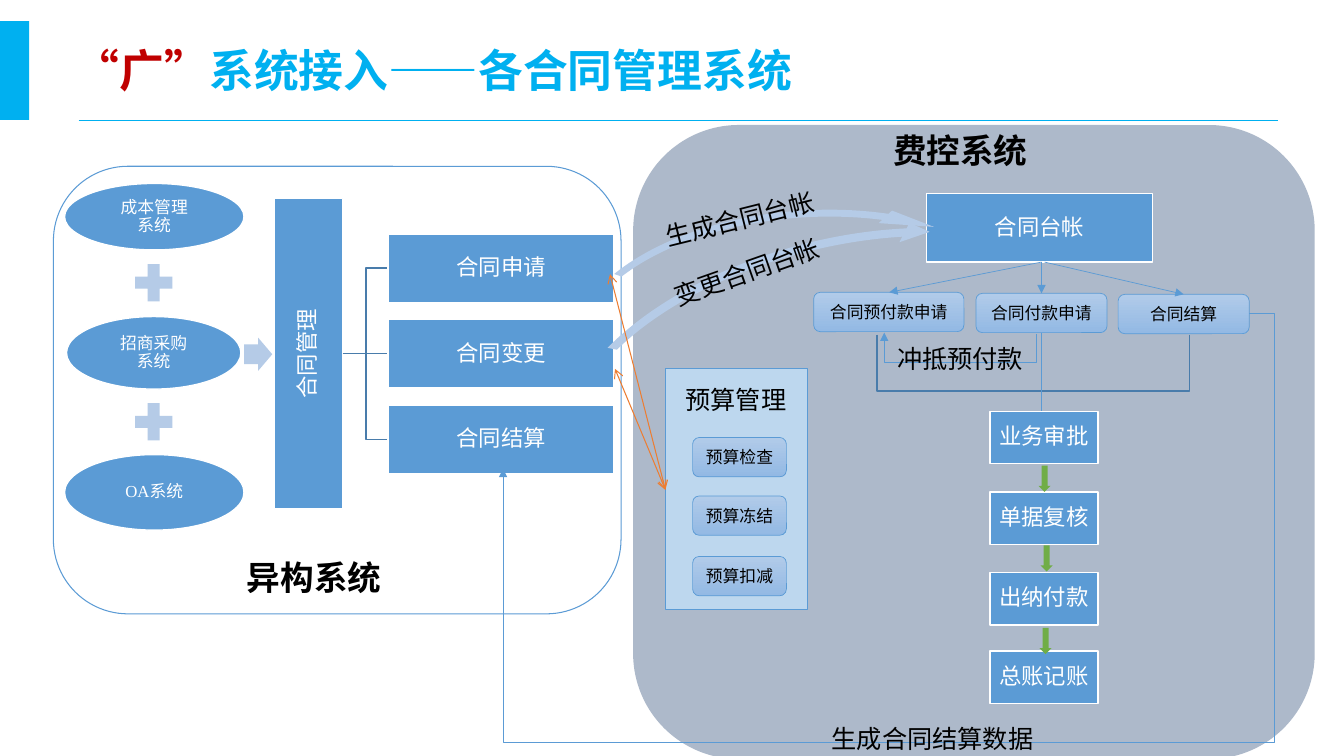
from lxml import etree
from pptx import Presentation
from pptx.dml.color import RGBColor
from pptx.enum.shapes import MSO_CONNECTOR, MSO_SHAPE
from pptx.enum.text import MSO_ANCHOR, PP_ALIGN
from pptx.oxml.ns import qn
from pptx.util import Inches, Pt

RECT, ROUND, OVAL = MSO_SHAPE.RECTANGLE, MSO_SHAPE.ROUNDED_RECTANGLE, MSO_SHAPE.OVAL
CROSS, RIGHT, DOWN = MSO_SHAPE.CROSS, MSO_SHAPE.RIGHT_ARROW, MSO_SHAPE.DOWN_ARROW
CURVED = MSO_SHAPE.CIRCULAR_ARROW
STRAIGHT, ELBOW = MSO_CONNECTOR.STRAIGHT, MSO_CONNECTOR.ELBOW
CENTER, LEFT = PP_ALIGN.CENTER, PP_ALIGN.LEFT
MIDDLE, TOP = MSO_ANCHOR.MIDDLE, MSO_ANCHOR.TOP

SANS, SERIF, ARIAL = "Noto Sans CJK SC", "Times New Roman", "Arial"
WHITE, BLACK, RED = "FFFFFF", "000000", "C00000"
CYAN, BLUE, PALE, BRACKET = "00B0F0", "5B9BD5", "B5CBE7", "497CAB"
ORANGE, GREEN, PANEL, BUDGET = "ED7D31", "70AD47", "ADB9CA", "BDD7EE"


def rgb(value):
    return RGBColor.from_string(value)


def write(frame, text, size=18, font=ARIAL, color=BLACK, bold=False, align=LEFT,
          anchor=TOP, wrap=True, margins=(0.1, 0.05), spacing=None):
    frame.word_wrap = wrap
    frame.vertical_anchor = anchor
    frame.margin_left = frame.margin_right = Inches(margins[0])
    frame.margin_top = frame.margin_bottom = Inches(margins[1])
    paragraph = frame.paragraphs[0]
    paragraph.alignment = align
    paragraph.space_before = Pt(0)
    if spacing:
        paragraph.line_spacing = spacing
    parts = [(text, color)] if isinstance(text, str) else text
    for words, tint in parts:
        run = paragraph.add_run()
        run.text = words
        run.font.size = Pt(size)
        run.font.name = font
        run.font.bold = bold
        run.font.color.rgb = rgb(tint)
        east_asian = etree.SubElement(run.font._element, qn("a:ea"))
        east_asian.set("typeface", SANS)


def stroke(line, color, width):
    line.color.rgb = rgb(color)
    line.width = Pt(width)


def block(slide, kind, box, fill=None, line=None, width=1, adjust=(), rotation=0):
    shape = slide.shapes.add_shape(kind, *map(Inches, box))
    shape.shadow.inherit = False
    shape.rotation = rotation
    for index, value in enumerate(adjust):
        shape.adjustments[index] = value
    if fill:
        shape.fill.solid()
        shape.fill.fore_color.rgb = rgb(fill)
    else:
        shape.fill.background()
    if line:
        stroke(shape.line, line, width)
    else:
        shape.line.fill.background()
    return shape


def step(slide, text, box, kind=RECT, size=16, margins=(0.01, 0.01), rotation=0):
    shape = block(slide, kind, box, BLUE, WHITE, rotation=rotation)
    write(shape.text_frame, text, size=size, font=SERIF, color=WHITE, align=CENTER,
          anchor=MIDDLE, margins=margins, spacing=0.9)


def pill(slide, text, box):
    shape = block(slide, ROUND, box, PALE, BLUE, 0.5)
    shape.fill.gradient()
    shape.fill.gradient_angle = 270
    for stop, color in zip(shape.fill.gradient_stops, ("B1CBE9", "93B9E4")):
        stop.color.rgb = rgb(color)
    write(shape.text_frame, text, size=12, font=SERIF, align=CENTER, anchor=MIDDLE,
          margins=(0.08, 0.05))


def label(slide, text, box, rotation=0, **style):
    caption = slide.shapes.add_textbox(*map(Inches, box))
    caption.rotation = rotation
    write(caption.text_frame, text, **style)


def connect(slide, start, end, color=BLUE, width=0.5, head=None, tail=None, kind=STRAIGHT):
    link = slide.shapes.add_connector(kind, *map(Inches, start + end))
    stroke(link.line, color, width)
    properties = link.element.spPr
    outline = properties.find(qn("a:ln"))
    for tag, arrow in (("a:headEnd", head), ("a:tailEnd", tail)):
        if arrow:
            etree.SubElement(outline, qn(tag)).set("type", arrow)
    etree.SubElement(properties, qn("a:effectLst"))
    return link


def elbow(slide, start, end, preset, bends, rotation=0):
    link = connect(slide, start, end, tail="triangle", kind=ELBOW)
    properties = link.element.spPr
    if rotation:
        properties.find(qn("a:xfrm")).set("rot", str(rotation * 60000))
    geometry = properties.find(qn("a:prstGeom"))
    geometry.set("prst", preset)
    guides = geometry.find(qn("a:avLst"))
    if guides is None:
        guides = etree.SubElement(geometry, qn("a:avLst"))
    for number, bend in enumerate(bends, 1):
        guide = etree.SubElement(guides, qn("a:gd"))
        guide.set("name", f"adj{number}")
        guide.set("fmla", f"val {bend}")


def bracket(slide, *points):
    corners = [tuple(map(Inches, point)) for point in points]
    builder = slide.shapes.build_freeform(*corners[0], scale=1.0)
    builder.add_line_segments(corners[1:], close=False)
    shape = builder.convert_to_shape()
    shape.shadow.inherit = False
    shape.fill.background()
    stroke(shape.line, BRACKET, 1)


def heading(slide):
    block(slide, RECT, (0, 0.21, 0.29, 0.98), CYAN)
    connect(slide, (0.78, 1.19), (12.68, 1.19), CYAN)
    title = slide.shapes.title
    title.left, title.top, title.width, title.height = map(Inches, (0.64, 0.11, 7.45, 0.91))
    write(title.text_frame, [("“广”", RED), ("系统接入——各合同管理系统", CYAN)],
          size=32, font=SANS, bold=True, wrap=False, spacing=1.5)


def expense_system(slide):
    block(slide, ROUND, (6.28, 1.24, 6.76, 6.29), PANEL)
    elbow(slide, (9.53, 2.55), (9.52, 4.06), "bentConnector3", [-2900000], rotation=90)
    label(slide, "费控系统", (7.44, 1.24, 4.17, 0.5), size=24, font=SANS, bold=True, align=CENTER)

    block(slide, RECT, (6.6, 3.66, 1.41, 2.39), BUDGET, BLUE, 0.75)
    label(slide, "预算管理", (6.7, 3.76, 1.21, 0.4), wrap=False)
    for text, top in (("预算检查", 4.34), ("预算冻结", 4.92), ("预算扣减", 5.52)):
        pill(slide, text, (6.87, top, 0.93, 0.39))

    pill(slide, "合同付款申请", (9.68, 2.91, 1.3, 0.39))
    pill(slide, "合同预付款申请", (8.07, 2.9, 1.49, 0.39))
    pill(slide, "合同结算", (11.09, 2.92, 1.3, 0.39))
    step(slide, "合同台帐", (9.19, 1.92, 2.24, 0.68))
    label(slide, "冲抵预付款", (8.8, 3.36, 1.46, 0.4), wrap=False)
    for side in (11.8, 8.7):
        bracket(slide, (side, 3.32), (side, 3.88), (10.33, 3.88), (10.33, 4.08))

    for text, top in (("业务审批", 4.08), ("单据复核", 4.88), ("出纳付款", 5.68), ("总账记账", 6.46)):
        step(slide, text, (9.82, top, 1.07, 0.52))
    for start, end in (((10.33, 2.6), (8.82, 2.9)), ((10.33, 2.6), (10.33, 2.91)),
                       ((10.36, 2.6), (11.74, 2.92))):
        connect(slide, start, end, tail="triangle")
    for left, top in ((10.3, 4.62), (10.32, 5.41), (10.31, 6.23)):
        block(slide, DOWN, (left, top, 0.12, 0.26), GREEN)
    connect(slide, (10.33, 3.3), (10.33, 4.08))


def source_systems(slide):
    for text, left, top, width, height in (("成本管理系统", 0.64, 1.82, 1.78, 0.66),
                                           ("招商采购系统", 0.66, 3.14, 1.73, 0.72),
                                           ("OA系统", 0.64, 4.51, 1.78, 0.75)):
        step(slide, text, (left, top, width, height), OVAL, size=12, margins=(0.27, 0.11))
    for top in (2.62, 4):
        block(slide, CROSS, (1.34, top, 0.37, 0.37), PALE, adjust=[0.34])
    block(slide, RIGHT, (2.42, 3.35, 0.28, 0.33), PALE, adjust=[0.6, 0.5])

    step(slide, "合同管理", (1.52, 3.17, 3.08, 0.68), rotation=270)
    for row, text in enumerate(("合同申请", "合同变更", "合同结算")):
        top = 2.32 + 0.85 * row
        middle = top + 0.34
        bracket(slide, (3.4, 3.51), (3.63, 3.51), (3.63, middle), (3.85, middle))
        step(slide, text, (3.85, top, 2.24, 0.68))
    label(slide, "异构系统", (1.03, 5.48, 4.17, 0.51), size=24, font=SANS, bold=True, align=CENTER)


def system_links(slide):
    block(slide, CURVED, (5.59, 2.03, 4.91, 2.74), PALE, rotation=356.6,
          adjust=[0.025, 9.66, 182.37, 121.58, 0.033])
    block(slide, CURVED, (5.42, 2.3, 5.92, 3.27), PALE, rotation=346,
          adjust=[0.025, 4.37, 182.37, 123.37, 0.033])
    label(slide, "生成合同台帐", (6.49, 1.97, 1.72, 0.4), rotation=346, font=SANS, wrap=False)
    label(slide, "变更合同台帐", (6.56, 2.49, 1.72, 0.4), rotation=340.6, font=SANS, wrap=False)
    for start in ((6.05, 2.72), (6.1, 3.66)):
        connect(slide, start, (6.6, 4.86), ORANGE, 0.75, head="arrow", tail="arrow")
    elbow(slide, (12.39, 3.11), (4.99, 4.65), "bentConnector4", [-3400, 276600])
    label(slide, "生成合同结算数据", (8.15, 7.13, 2.22, 0.4), wrap=False)


def main():
    deck = Presentation()
    deck.slide_width, deck.slide_height = Inches(13.33), Inches(7.5)
    slide = deck.slides.add_slide(deck.slide_layouts[5])
    heading(slide)
    block(slide, ROUND, (0.53, 1.65, 5.63, 4.44), line=BLUE, width=0.75)
    expense_system(slide)
    source_systems(slide)
    system_links(slide)
    deck.save("out.pptx")


if __name__ == "__main__":
    main()
